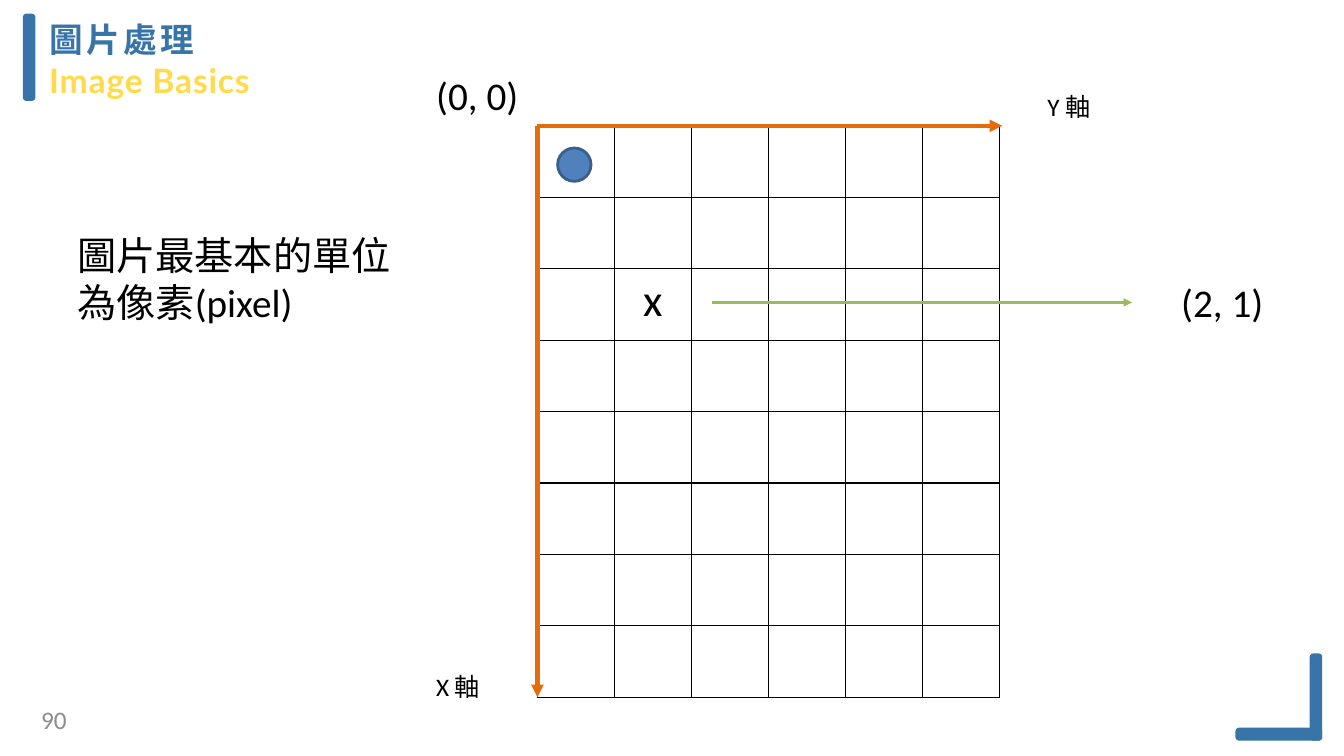
import pptx
import pptx.dml.color
import pptx.enum.shapes
import pptx.enum.text
import pptx.oxml
import pptx.oxml.ns
import pptx.util

Cm = pptx.util.Cm
Pt = pptx.util.Pt
RGBColor = pptx.dml.color.RGBColor
Align = pptx.enum.text.PP_ALIGN
Shape = pptx.enum.shapes.MSO_SHAPE

BLUE = RGBColor(0x37, 0x74, 0xA7)
BAR_BLUE = RGBColor(0x37, 0x75, 0xA9)
YELLOW = RGBColor(0xFF, 0xDA, 0x4A)
GREY = RGBColor(0x8C, 0x8C, 0x8C)
BLACK = RGBColor(0x00, 0x00, 0x00)
ORANGE = RGBColor(0xE4, 0x6C, 0x0A)
GREEN = RGBColor(0x9B, 0xBB, 0x59)
DOT_FILL = RGBColor(0x4F, 0x81, 0xBD)
DOT_LINE = RGBColor(0x3A, 0x5F, 0x8C)

GRID_LEFT, GRID_TOP = 13.54, 3.17
COLUMNS, ROWS = 6, 8
COLUMN_WIDTH, ROW_HEIGHT = 1.94, 1.8


class PixelSlide:
    body_font = "Calibri"
    title_font = "Lato"

    def __init__(self, deck):
        self.slide = deck.slides.add_slide(deck.slide_layouts[5])

    def add_run(self, paragraph, text, size, color, font=body_font):
        run = paragraph.add_run()
        run.text = text
        run.font.name = font
        run.font.size = Pt(size)
        run.font.color.rgb = color
        return run

    def title(self, left, top, width, height, lines):
        heading = self.slide.shapes.title
        heading.left, heading.top = Cm(left), Cm(top)
        heading.width, heading.height = Cm(width), Cm(height)
        frame = heading.text_frame
        frame.word_wrap = True
        frame.auto_size = pptx.enum.text.MSO_AUTO_SIZE.NONE
        frame.vertical_anchor = pptx.enum.text.MSO_ANCHOR.TOP
        frame.margin_left = frame.margin_right = frame.margin_bottom = 0
        frame.margin_top = Cm(0.06)
        for index, (text, color, spacing) in enumerate(lines):
            paragraph = frame.add_paragraph() if index else frame.paragraphs[0]
            paragraph.alignment = Align.LEFT
            paragraph.space_before = Pt(1 if index else 0)
            run = self.add_run(paragraph, text, 24, color, self.title_font)
            run.font.bold = True
            run.font._element.set("spc", str(spacing))

    def text(self, left, top, width, height, text, size, color=BLACK,
             align=Align.LEFT, inset=True):
        box = self.slide.shapes.add_textbox(Cm(left), Cm(top), Cm(width), Cm(height))
        frame = box.text_frame
        frame.word_wrap = True
        if not inset:
            frame.margin_left = frame.margin_right = 0
            frame.margin_top = frame.margin_bottom = 0
        paragraph = frame.paragraphs[0]
        paragraph.alignment = align
        self.add_run(paragraph, text, size, color)

    def shape(self, kind, left, top, width, height, fill, line, weight):
        form = self.slide.shapes.add_shape(
            kind, Cm(left), Cm(top), Cm(width), Cm(height))
        form.shadow.inherit = False
        form.fill.solid()
        form.fill.fore_color.rgb = fill
        form.line.color.rgb = line
        form.line.width = Pt(weight)

    def bar(self, left, top, width, height):
        self.shape(Shape.ROUNDED_RECTANGLE, left, top, width, height,
                   BAR_BLUE, BLUE, 3)

    def arrow(self, start, end, color, weight):
        line = self.slide.shapes.add_connector(
            pptx.enum.shapes.MSO_CONNECTOR.STRAIGHT,
            Cm(start[0]), Cm(start[1]), Cm(end[0]), Cm(end[1]))
        line.line.color.rgb = color
        line.line.width = Pt(weight)
        qn = pptx.oxml.ns.qn
        head = line.line._get_or_add_ln().makeelement(
            qn("a:tailEnd"), {"type": "triangle"})
        line.line._get_or_add_ln().append(head)
        properties = line._element.spPr
        properties.append(properties.makeelement(qn("a:effectLst"), {}))

    def border(self, cell):
        properties = cell._tc.get_or_add_tcPr()
        for side in ("lnL", "lnR", "lnT", "lnB"):
            properties.append(pptx.oxml.parse_xml(
                f'<a:{side} {pptx.oxml.ns.nsdecls("a")} w="{Pt(1)}">'
                f'<a:solidFill><a:srgbClr val="{BLACK}"/></a:solidFill></a:{side}>'))

    def pixel_grid(self, marks):
        grid = self.slide.shapes.add_table(
            ROWS, COLUMNS, Cm(GRID_LEFT), Cm(GRID_TOP),
            Cm(COLUMNS * COLUMN_WIDTH), Cm(ROWS * ROW_HEIGHT)).table
        grid.first_row = grid.horz_banding = False
        for column in grid.columns:
            column.width = Cm(COLUMN_WIDTH)
        for row in grid.rows:
            row.height = Cm(ROW_HEIGHT)
        for cell in grid.iter_cells():
            self.border(cell)
            cell.fill.background()
        for (row, column), mark in marks.items():
            paragraph = grid.cell(row, column).text_frame.paragraphs[0]
            paragraph.alignment = Align.CENTER
            self.add_run(paragraph, mark, 32, BLACK)


def main():
    deck = pptx.Presentation()
    deck.slide_width, deck.slide_height = Cm(33.86), Cm(19.05)
    page = PixelSlide(deck)

    page.title(1.24, 0.41, 11.48, 2.13,
               [("圖片處理", BLUE, 240), ("Image Basics", YELLOW, 60)])
    page.bar(0.63, 0.4, 0.21, 2.09)
    page.bar(33.05, 16.52, 0.21, 2.09)
    page.bar(31.18, 18.39, 2.08, 0.22)
    page.text(0.2, 17.75, 1.48, 0.76, "90", 18, GREY, Align.RIGHT, inset=False)

    page.pixel_grid({(2, 1): "x"})
    origin = (GRID_LEFT, GRID_TOP)
    page.arrow(origin, (25.25, GRID_TOP), ORANGE, 3)
    page.arrow(origin, (GRID_LEFT, GRID_TOP + ROWS * ROW_HEIGHT), ORANGE, 3)
    page.text(26.14, 2.18, 1.91, 1.02, "Y 軸", 18)
    page.text(10.74, 16.79, 1.91, 1.02, "X 軸", 18)

    page.arrow((17.93, 7.62), (28.52, 7.62), GREEN, 2)
    page.text(29.51, 6.88, 2.87, 1.45, "(2, 1)", 28)
    page.text(10.74, 1.68, 2.87, 1.45, "(0, 0)", 28)
    page.shape(Shape.OVAL, 14.05, 3.73, 0.84, 0.84, DOT_FILL, DOT_LINE, 2)
    page.text(1.7, 5.71, 8.51, 2.64, "圖片最基本的單位為像素(pixel)", 28)

    deck.save("out.pptx")


if __name__ == "__main__":
    main()
